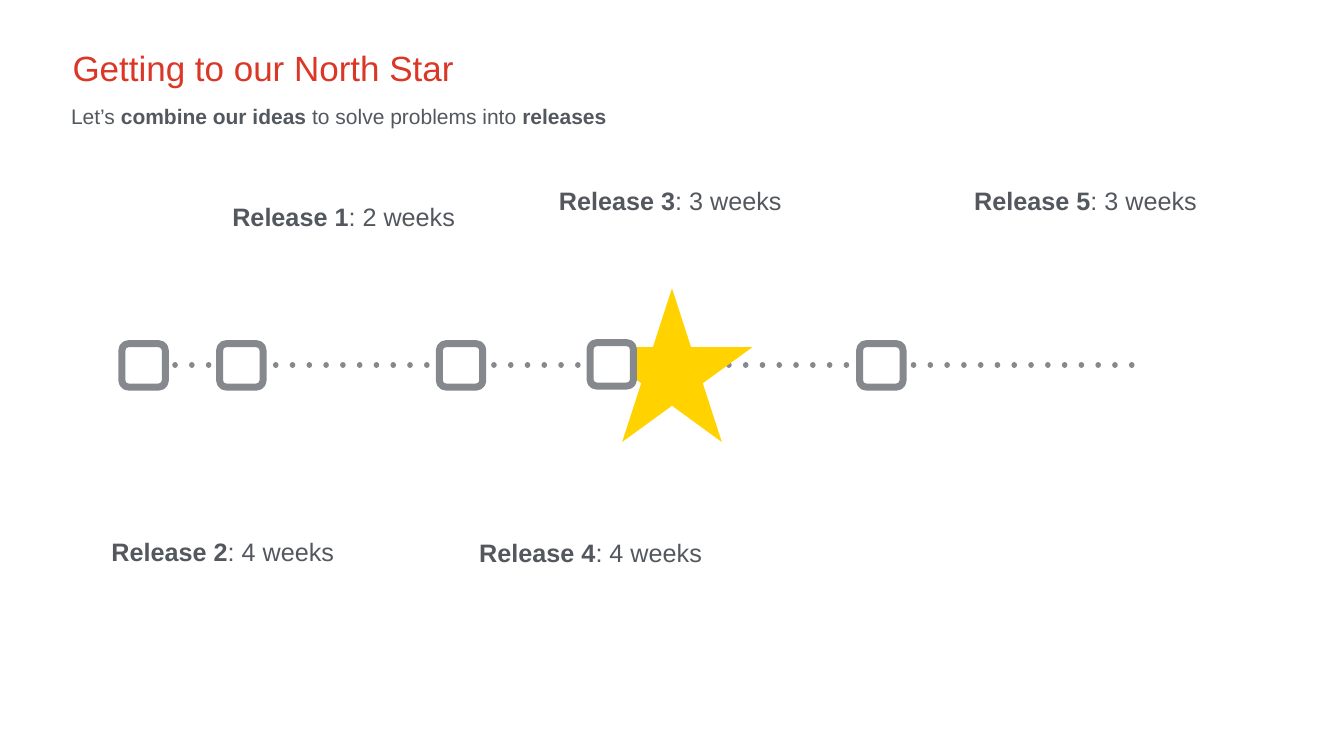
import pptx
import pptx.dml.color
import pptx.enum.shapes
import pptx.enum.text
import pptx.oxml
import pptx.oxml.ns
import pptx.util

SLIDE_WIDTH, SLIDE_HEIGHT = 26.67, 15
RED, SLATE, GREY, YELLOW, WHITE = "DA3727", "53585F", "85888D", "FFD200", "FFFFFF"

# Runs are (text, bold).
TITLE = [("Getting to our North Star", False)]
SUBTITLE = [
    ("Let’s ", False),
    ("combine our ideas", True),
    (" to solve problems into ", False),
    ("releases", True),
]
# Release name, duration, left, top
RELEASES = [
    ("Release 1", "2 weeks", 4.53, 3.92),
    ("Release 2", "4 weeks", 2.13, 10.56),
    ("Release 3", "3 weeks", 11.01, 3.6),
    ("Release 4", "4 weeks", 9.43, 10.58),
    ("Release 5", "3 weeks", 19.25, 3.6),
]
LABEL_SIZE = (4.59, 0.75)

TIMELINE_START, TIMELINE_END, TIMELINE_Y = 3.14, 22.67, 7.24
MILESTONE_SIDE = 0.86
MILESTONES = [(2.42, 6.82), (4.36, 6.82), (8.72, 6.82), (11.71, 6.8), (17.06, 6.82)]
STAR_TOP, STAR_WIDTH, STAR_HEIGHT = 5.72, 3.2, 3.05


def inches(*lengths):
    return [pptx.util.Inches(length) for length in lengths]


def color(hex_value):
    return pptx.dml.color.RGBColor.from_string(hex_value)


def add_text(slide, runs, box, size, ink, line_spacing=None):
    frame = slide.shapes.add_textbox(*inches(*box)).text_frame
    frame.word_wrap = False
    frame.auto_size = pptx.enum.text.MSO_AUTO_SIZE.SHAPE_TO_FIT_TEXT
    frame.vertical_anchor = pptx.enum.text.MSO_ANCHOR.MIDDLE
    frame.margin_left = frame.margin_right = pptx.util.Inches(0.08)
    frame.margin_top = frame.margin_bottom = pptx.util.Inches(0.08)
    paragraph = frame.paragraphs[0]
    paragraph.line_spacing = line_spacing
    for text, bold in runs:
        run = paragraph.add_run()
        run.text = text
        run.font.name = "Arial"
        run.font.size = pptx.util.Pt(size)
        run.font.bold = bold
        run.font.color.rgb = color(ink)


def add_shape(slide, preset, box, fill, outline=None, width=0):
    shape = slide.shapes.add_shape(preset, *inches(*box))
    shape.shadow.inherit = False
    shape.fill.solid()
    shape.fill.fore_color.rgb = color(fill)
    if outline:
        shape.line.color.rgb = color(outline)
        shape.line.width = pptx.util.Pt(width)
    else:
        shape.line.fill.background()
    return shape


def add_timeline(slide):
    """Draw the line of round dots, one dot every three line widths."""
    timeline = slide.shapes.add_connector(
        pptx.enum.shapes.MSO_CONNECTOR.STRAIGHT,
        *inches(TIMELINE_START, TIMELINE_Y, TIMELINE_END, TIMELINE_Y),
    )
    timeline.line.color.rgb = color(GREY)
    timeline.line.width = pptx.util.Pt(8)
    outline = timeline.line._get_or_add_ln()
    outline.set("cap", "rnd")
    outline.append(pptx.oxml.parse_xml(
        f'<a:custDash {pptx.oxml.ns.nsdecls("a")}><a:ds d="100000" sp="200000"/></a:custDash>'
    ))
    timeline._element.spPr.append(
        pptx.oxml.parse_xml(f'<a:effectLst {pptx.oxml.ns.nsdecls("a")}/>')
    )


def main():
    presentation = pptx.Presentation()
    presentation.slide_width, presentation.slide_height = inches(SLIDE_WIDTH, SLIDE_HEIGHT)
    slide = presentation.slides.add_slide(presentation.slide_layouts[6])
    presets = pptx.enum.shapes.MSO_SHAPE

    add_timeline(slide)
    star_left = (SLIDE_WIDTH - STAR_WIDTH) / 2
    add_shape(slide, presets.STAR_5_POINT,
              (star_left, STAR_TOP, STAR_WIDTH, STAR_HEIGHT), YELLOW)
    for left, top in MILESTONES:
        milestone = add_shape(slide, presets.ROUNDED_RECTANGLE,
                              (left, top, MILESTONE_SIDE, MILESTONE_SIDE),
                              WHITE, outline=GREY, width=10)
        milestone.adjustments[0] = 0.15

    add_text(slide, TITLE, (1.36, 0.83, 8.34, 1), size=50, ink=RED)
    add_text(slide, SUBTITLE, (1.33, 1.92, 10.81, 0.66), size=30, ink=SLATE, line_spacing=1.2)
    for name, duration, left, top in RELEASES:
        add_text(slide, [(name, True), (f": {duration}", False)],
                 (left, top, *LABEL_SIZE), size=36, ink=SLATE)

    presentation.save("out.pptx")


if __name__ == "__main__":
    main()
